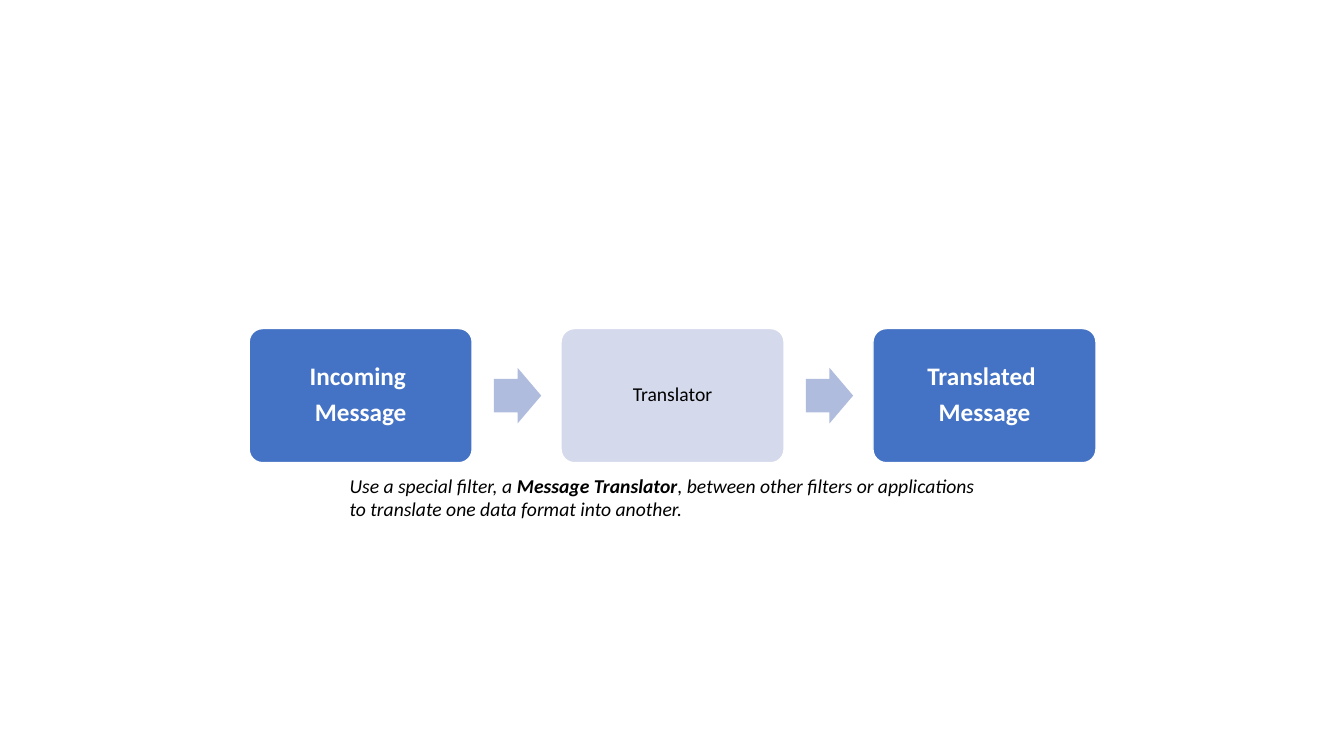
"""Build a slide showing the message translator flow."""
from pptx import Presentation
from pptx.dml.color import RGBColor
from pptx.enum.shapes import MSO_SHAPE
from pptx.enum.text import MSO_ANCHOR, MSO_AUTO_SIZE, PP_ALIGN
from pptx.util import Cm, Pt

ROUNDED, ARROW = MSO_SHAPE.ROUNDED_RECTANGLE, MSO_SHAPE.RIGHT_ARROW
MIDDLE, CENTER = MSO_ANCHOR.MIDDLE, PP_ALIGN.CENTER
GROW = MSO_AUTO_SIZE.SHAPE_TO_FIT_TEXT

COLORS = {"message": "4472C4", "translator": "D4D9EC", "arrow": "B0BCDE",
          "white": "FFFFFF", "black": "000000"}
FORMATS = {
    "message": {"size": Pt(18), "bold": True},
    "translator": {"size": Pt(14), "bold": False},
    "caption": {"size": Pt(14), "italic": True, "bold": False},
    "term": {"size": Pt(14), "italic": True, "bold": True},
}
INK = {"message": "white", "translator": "black", "caption": "black", "term": "black"}

STAGES = [
    ("message", ["Incoming ", "Message"]),
    ("translator", ["Translator"]),
    ("message", ["Translated ", "Message"]),
]
CAPTION = [
    ("caption", "Use a special filter, a "),
    ("term", "Message Translator"),
    ("caption", ", between other filters or applications "
                "to translate one data format into another."),
]

STAGE_LEFT, STAGE_TOP, STAGE_WIDTH, STAGE_HEIGHT = 6.28, 8.28, 5.62, 3.38
STAGE_PITCH = 7.86
ARROW_OFFSET, ARROW_WIDTH, ARROW_HEIGHT = 6.17, 1.19, 1.4
CAPTION_BOX = (8.56, 11.81, 16.76, 1.45)
STAGE_INSET = 0.27


def rgb(name):
    return RGBColor.from_string(COLORS[name])


def add_run(paragraph, text, role):
    run = paragraph.add_run()
    run.text = text
    run.font.name = "Calibri"
    run.font.color.rgb = rgb(INK[role])
    for attribute, value in FORMATS[role].items():
        setattr(run.font, attribute, value)


def add_block(slide, preset, box, color, adjustments):
    block = slide.shapes.add_shape(preset, *map(Cm, box))
    block.shadow.inherit = False
    block.fill.solid()
    block.fill.fore_color.rgb = rgb(color)
    for index, value in enumerate(adjustments):
        block.adjustments[index] = value
    return block


def add_stage(slide, left, role, lines):
    box = (left, STAGE_TOP, STAGE_WIDTH, STAGE_HEIGHT)
    stage = add_block(slide, ROUNDED, box, role, [0.1])
    stage.line.color.rgb = rgb("white")
    stage.line.width = Pt(1)
    frame = stage.text_frame
    frame.word_wrap = True
    frame.vertical_anchor = MIDDLE
    for side in ("left", "top", "right", "bottom"):
        setattr(frame, f"margin_{side}", Cm(STAGE_INSET))
    for index, line in enumerate(lines):
        paragraph = frame.add_paragraph() if index else frame.paragraphs[0]
        paragraph.alignment = CENTER
        paragraph.line_spacing = 0.9
        paragraph.space_after = Pt(0.35 * FORMATS[role]["size"].pt)
        add_run(paragraph, line, role)


def add_arrow(slide, left):
    top = STAGE_TOP + (STAGE_HEIGHT - ARROW_HEIGHT) / 2
    box = (left, top, ARROW_WIDTH, ARROW_HEIGHT)
    add_block(slide, ARROW, box, "arrow", [0.6, 0.5]).line.fill.background()


def add_caption(slide):
    frame = slide.shapes.add_textbox(*map(Cm, CAPTION_BOX)).text_frame
    frame.word_wrap = True
    frame.auto_size = GROW
    for role, text in CAPTION:
        add_run(frame.paragraphs[0], text, role)


def main():
    deck = Presentation()
    deck.slide_width, deck.slide_height = Cm(33.87), Cm(19.05)
    slide = deck.slides.add_slide(deck.slide_layouts[6])
    for index, (role, lines) in enumerate(STAGES):
        left = STAGE_LEFT + index * STAGE_PITCH
        add_stage(slide, left, role, lines)
        if index < len(STAGES) - 1:
            add_arrow(slide, left + ARROW_OFFSET)
    add_caption(slide)
    deck.save("out.pptx")


if __name__ == "__main__":
    main()
